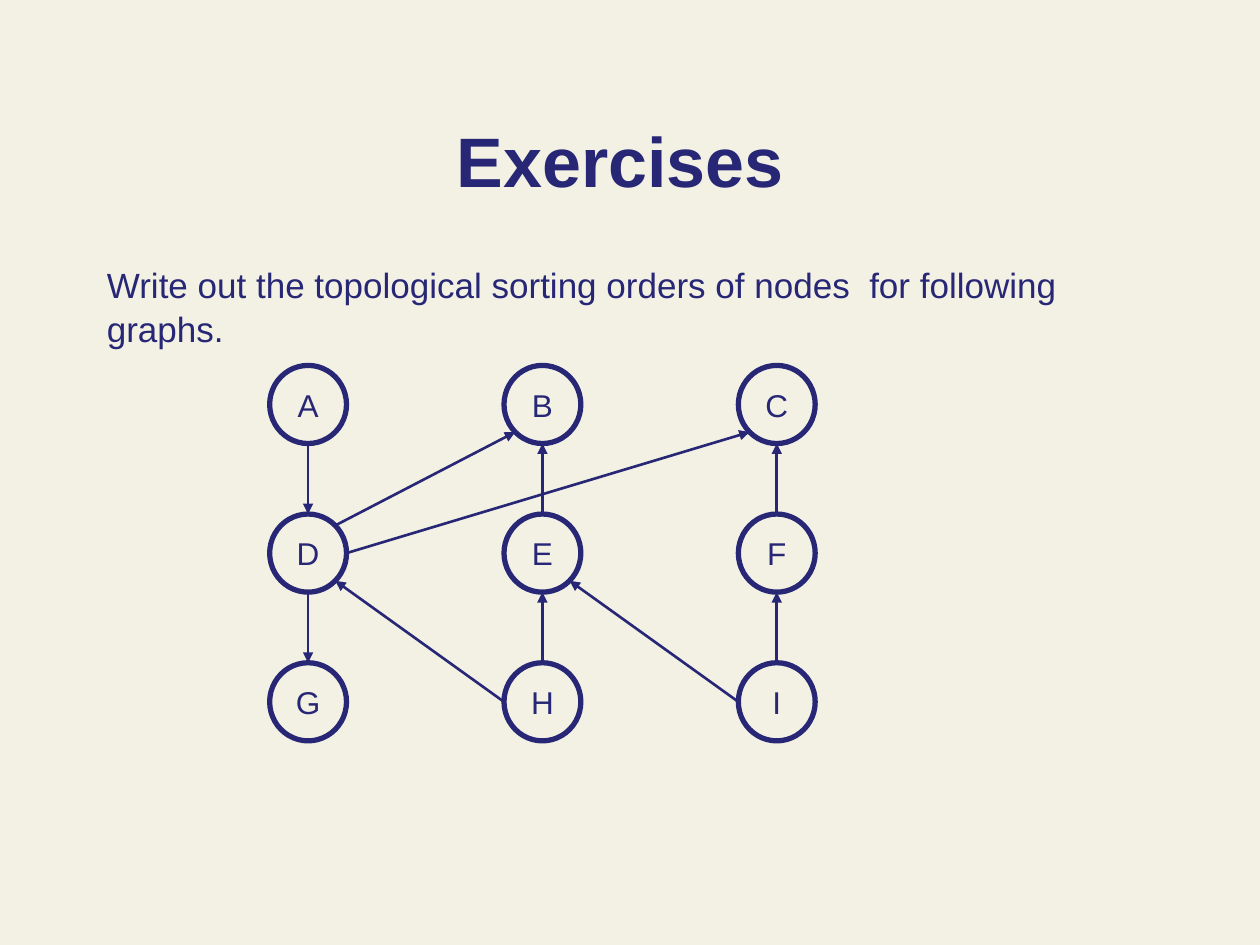
import math

import lxml.etree
import pptx
import pptx.dml.color
import pptx.enum.shapes
import pptx.enum.text
import pptx.oxml.ns
import pptx.util

THEME = {
    "ink": pptx.dml.color.RGBColor.from_string("272776"),
    "paper": pptx.dml.color.RGBColor.from_string("F3F1E4"),
    "font": "Arial",
    "title": 40,
    "body": 20,
    "node": 18,
    "ring": 3,
    "arrow": 1.5,
}
WIDTH, HEIGHT = 10, 7.5
GRID = {"left": 2.14, "top": 2.9, "dx": 1.86, "dy": 1.18, "w": 0.61, "h": 0.62}
ROWS = ("ABC", "DEF", "GHI")
ANGLES = {"right": 0, "top right": 45, "top": 90, "left": 180,
          "bottom left": 225, "bottom": 270, "bottom right": 315}
EDGES = (
    ("A", "bottom", "D", "top"),
    ("D", "bottom", "G", "top"),
    ("D", "right", "C", "bottom left"),
    ("D", "top right", "B", "bottom left"),
    ("H", "left", "D", "bottom right"),
    ("H", "top", "E", "bottom"),
    ("E", "top", "B", "bottom"),
    ("F", "top", "C", "bottom"),
    ("I", "top", "F", "bottom"),
    ("I", "left", "E", "bottom right"),
)


def inches(*values):
    """Convert numbers of inches to lengths."""
    return [pptx.util.Inches(v) for v in values]


def apply_format(obj, values):
    """Set every attribute named in a dict of format values."""
    for name, value in values.items():
        setattr(obj, name, value)


def write_text(sp, text, size, align, anchor, bold=False, spacing=1.0):
    """Write one styled paragraph into a shape."""
    tf = sp.text_frame
    apply_format(tf, {"word_wrap": True, "vertical_anchor": anchor})
    p = tf.paragraphs[0]
    apply_format(p, {"alignment": align, "line_spacing": spacing})
    r = p.add_run()
    r.text = text
    apply_format(r.font, {"name": THEME["font"], "size": pptx.util.Pt(size), "bold": bold})
    r.font.color.rgb = THEME["ink"]


def add_text(s, top, height, *args, **kwargs):
    """Add a text box across the slide's content width."""
    left = 0.075 * WIDTH
    sp = s.shapes.add_textbox(*inches(left, top * HEIGHT, WIDTH - 2 * left, height * HEIGHT))
    write_text(sp, *args, **kwargs)


def set_line(line, width):
    """Give a line the ink colour and a width in points."""
    line.color.rgb = THEME["ink"]
    line.width = pptx.util.Pt(width)


def add_node(s, label, col, row):
    """Add a labelled graph node at a grid cell and return its centre."""
    x, y = GRID["left"] + col * GRID["dx"], GRID["top"] + row * GRID["dy"]
    sp = s.shapes.add_shape(pptx.enum.shapes.MSO_SHAPE.OVAL,
                            *inches(x, y, GRID["w"], GRID["h"]))
    sp.shadow.inherit = False
    sp.fill.solid()
    sp.fill.fore_color.rgb = THEME["paper"]
    set_line(sp.line, THEME["ring"])
    write_text(sp, label, THEME["node"], pptx.enum.text.PP_ALIGN.CENTER,
               pptx.enum.text.MSO_ANCHOR.MIDDLE)
    return x + GRID["w"] / 2, y + GRID["h"] / 2


def rim_point(centre, side):
    """Return the point on a node's rim at a named side."""
    angle = math.radians(ANGLES[side])
    return (centre[0] + GRID["w"] / 2 * math.cos(angle),
            centre[1] - GRID["h"] / 2 * math.sin(angle))


def add_edge(s, start, end):
    """Add a straight arrow between two points."""
    c = s.shapes.add_connector(pptx.enum.shapes.MSO_CONNECTOR.STRAIGHT,
                               *inches(*start, *end))
    set_line(c.line, THEME["arrow"])
    qn = pptx.oxml.ns.qn
    lxml.etree.SubElement(c.line._get_or_add_ln(), qn("a:tailEnd"), type="triangle")
    lxml.etree.SubElement(c._element.spPr, qn("a:effectLst"))


def main():
    """Build the exercise slide and save it."""
    prs = pptx.Presentation()
    prs.slide_width, prs.slide_height = inches(WIDTH, HEIGHT)
    s = prs.slides.add_slide(prs.slide_layouts[6])
    s.background.fill.solid()
    s.background.fill.fore_color.rgb = THEME["paper"]
    align, anchor = pptx.enum.text.PP_ALIGN, pptx.enum.text.MSO_ANCHOR
    add_text(s, 0.07, 0.15, "Exercises ", THEME["title"], align.CENTER, anchor.BOTTOM, bold=True)
    add_text(s, 0.27, 0.61,
             "Write out the topological sorting orders of nodes  for following graphs.",
             THEME["body"], align.LEFT, anchor.TOP, spacing=1.05)
    centres = {label: add_node(s, label, col, row)
               for row, labels in enumerate(ROWS) for col, label in enumerate(labels)}
    for tail, tail_side, head, head_side in EDGES:
        add_edge(s, rim_point(centres[tail], tail_side), rim_point(centres[head], head_side))
    prs.save("out.pptx")


if __name__ == "__main__":
    main()
